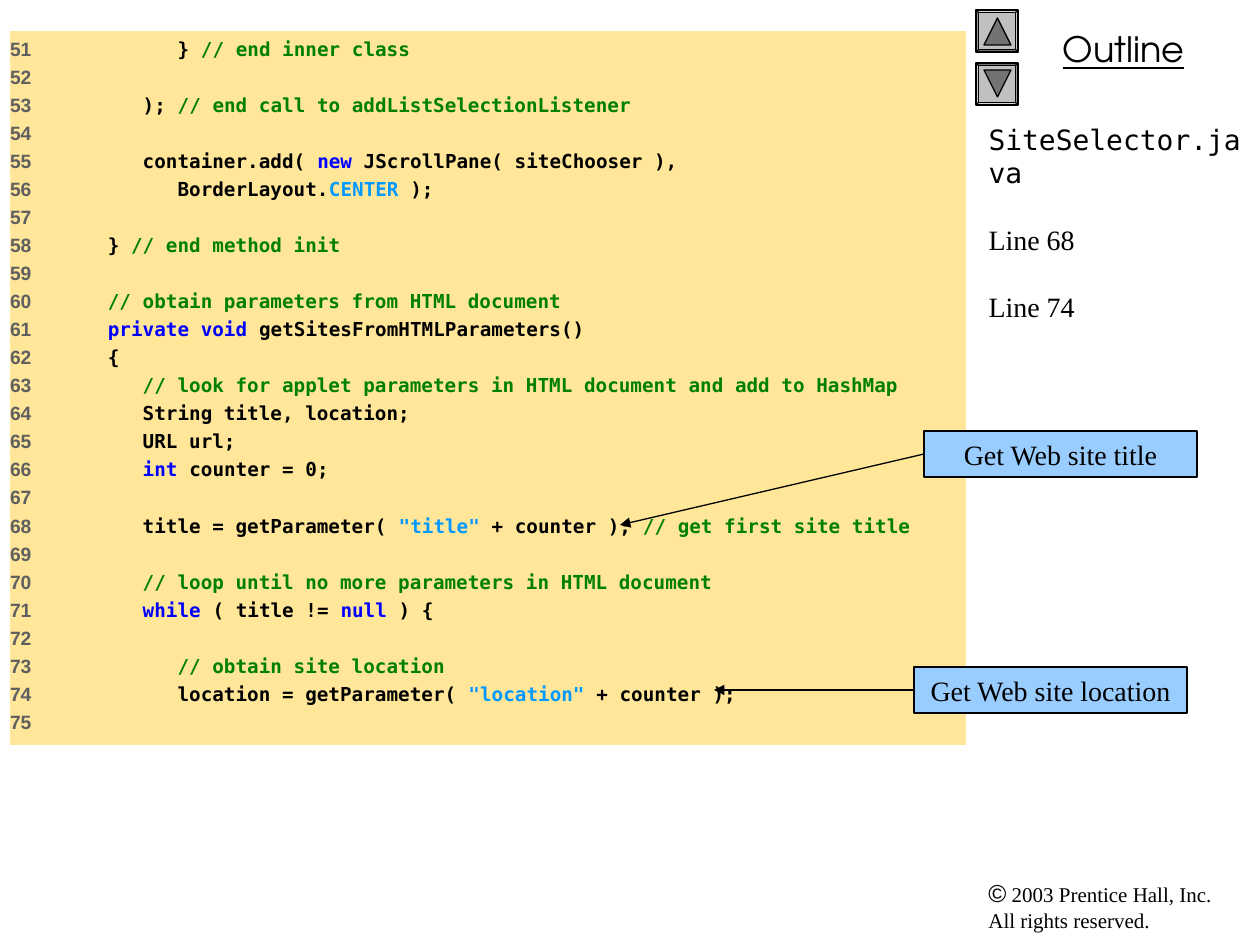
from dataclasses import dataclass
from functools import partial
from typing import NamedTuple

from lxml.etree import SubElement
from pptx import Presentation
from pptx.dml.color import RGBColor
from pptx.enum.shapes import MSO_CONNECTOR as Line, MSO_SHAPE as Shape
from pptx.enum.text import MSO_ANCHOR as Anchor, MSO_AUTO_SIZE as AutoSize, PP_ALIGN as Align
from pptx.oxml.ns import qn
from pptx.util import Emu, Pt

EMU_PER_PX = 914400 / 126
MONO, SERIF, SANS, TITLE = "DejaVu Sans Mono", "Times New Roman", "Arial", "TeX Gyre Adventor"
BLACK, GRAY, BUTTON, ARROW = "000000", "5F5F5F", "C0C0C0", "737373"
CODE_FILL, CALLOUT_FILL = "FFE699", "99CCFF"
FIRST_LINE, CODE_TAB = 51, 43


class Span(NamedTuple):
    """A stretch of code in one colour."""
    text: str
    color: str


plain = partial(Span, color=BLACK)
comment = partial(Span, color="008000")
keyword = partial(Span, color="0000FF")
literal = partial(Span, color="0099FF")

CODE = [
    [plain("         } "), comment("// end inner class")],
    [],
    [plain("      ); "), comment("// end call to addListSelectionListener")],
    [],
    [plain("      container.add( "), keyword("new"), plain(" JScrollPane( siteChooser ),")],
    [plain("         BorderLayout."), literal("CENTER"), plain(" );")],
    [],
    [plain("   } "), comment("// end method init")],
    [],
    [comment("   // obtain parameters from HTML document")],
    [keyword("   private void "), plain("getSitesFromHTMLParameters()")],
    [plain("   {")],
    [comment("      // look for applet parameters in HTML document and add to HashMap")],
    [plain("      String title, location;")],
    [plain("      URL url;")],
    [keyword("      int"), plain(" counter = 0;")],
    [],
    [plain("      title = getParameter( "), literal('"title"'), plain(" + counter ); "),
     comment("// get first site title")],
    [],
    [comment("      // loop until no more parameters in HTML document")],
    [keyword("      while"), plain(" ( title != "), keyword("null"), plain(" ) {")],
    [],
    [comment("         // obtain site location")],
    [plain("         location = getParameter( "), literal('"location"'), plain(" + counter );")],
    [],
]


@dataclass
class Callout:
    """A labelled box with an arrow to a point in the code."""
    text: str
    left: int
    top: int
    target: tuple[int, int]


@dataclass
class Button:
    """A bevelled navigation button with its arrow."""
    top: int
    bevel_turn: int
    arrow_turn: int
    arrow_top: int


CALLOUTS = [
    Callout("Get Web site title", 924, 431, (620, 525)),
    Callout("Get Web site location", 914, 667, (714, 690)),
]
BUTTONS = [Button(10, 90, 0, 18), Button(63, 270, 180, 70)]


def px(value: int) -> Emu:
    """Turn pixels into EMU."""
    return Emu(round(value * EMU_PER_PX))


def rgb(color: str) -> RGBColor:
    """Turn a hex string into a colour."""
    return RGBColor.from_string(color)


def place(shape, left: int, top: int, width: int, height: int) -> None:
    """Move and size a shape."""
    shape.left, shape.top, shape.width, shape.height = map(px, (left, top, width, height))


def add_span(para, text: str, *, font: str, size: int, color: str = BLACK,
             bold: bool = False, underline: bool = False) -> None:
    """Append formatted text to a paragraph."""
    span = para.add_run()
    span.text = text
    span.font.name, span.font.size = font, Pt(size)
    span.font.bold, span.font.underline = bold, underline
    span.font.color.rgb = rgb(color)


def next_para(frame, index: int, space: float):
    """Return the paragraph at index, spaced from the one above."""
    para = frame.add_paragraph() if index else frame.paragraphs[0]
    para.alignment = Align.LEFT
    para.space_before = Pt(space if index else 0)
    return para


def prepare_frame(shape):
    """Set wrapping and top anchoring, and return the text frame."""
    frame = shape.text_frame
    frame.word_wrap, frame.auto_size = True, AutoSize.NONE
    frame.vertical_anchor = Anchor.TOP
    return frame


def add_box(page, left: int, top: int, width: int, height: int):
    """Add a wrapping text box and return its first paragraph."""
    box = page.shapes.add_textbox(*map(px, (left, top, width, height)))
    return prepare_frame(box).paragraphs[0]


def add_solid(page, kind, bounds: tuple[int, int, int, int], fill: str, turn: int = 0):
    """Add a filled preset shape with a thin black outline."""
    shape = page.shapes.add_shape(kind, *map(px, bounds))
    shape.rotation = turn
    shape.shadow.inherit = False
    shape.fill.solid()
    shape.fill.fore_color.rgb = rgb(fill)
    shape.line.color.rgb, shape.line.width = rgb(BLACK), Pt(0.75)
    return shape


def fill_code(box) -> None:
    """Write the numbered listing."""
    place(box, 10, 31, 956, 714)
    box.fill.solid()
    box.fill.fore_color.rgb = rgb(CODE_FILL)
    frame = prepare_frame(box)
    frame.margin_left = 0
    for index, spans in enumerate(CODE):
        para = next_para(frame, index, 2.8)
        tabs = SubElement(para._p.get_or_add_pPr(), qn("a:tabLst"))
        SubElement(tabs, qn("a:tab"), pos=str(px(CODE_TAB)), algn="l")
        number = f"{FIRST_LINE + index}" + ("\t" if spans else "")
        add_span(para, number, font=SANS, size=11, color=GRAY, bold=True)
        for text, color in spans:
            add_span(para, text, font=MONO, size=11, color=color, bold=True)


def fill_outline(title) -> None:
    """Write the file name and the line references."""
    place(title, 976, 116, 284, 756)
    frame = prepare_frame(title)
    entries = [("SiteSelector.java", MONO), ("Line 68", SERIF), ("Line 74", SERIF)]
    for index, (text, font) in enumerate(entries):
        add_span(next_para(frame, index, 19), text, font=font, size=16)


def draw_button(page, button: Button) -> None:
    """Draw a navigation button."""
    bevel = add_solid(page, Shape.BEVEL, (976, button.top, 42, 42), BUTTON, button.bevel_turn)
    bevel.adjustments[0] = 0.06
    add_solid(page, Shape.ISOSCELES_TRIANGLE, (984, button.arrow_top, 27, 27), ARROW, button.arrow_turn)


def draw_callout(page, callout: Callout) -> None:
    """Draw a callout and its arrow."""
    box = add_solid(page, Shape.RECTANGLE, (callout.left, callout.top, 273, 46), CALLOUT_FILL)
    para = prepare_frame(box).paragraphs[0]
    para.alignment = Align.CENTER
    add_span(para, callout.text, font=SERIF, size=16)
    arrow = page.shapes.add_connector(Line.STRAIGHT, 0, 0, *map(px, callout.target))
    arrow.begin_connect(box, 1)
    arrow.line.color.rgb, arrow.line.width = rgb(BLACK), Pt(0.75)
    SubElement(arrow.line._get_or_add_ln(), qn("a:tailEnd"), type="triangle")
    SubElement(arrow._element.spPr, qn("a:effectLst"))


def main() -> None:
    """Build the slide."""
    deck = Presentation()
    deck.slide_width, deck.slide_height = px(1260), px(945)
    page = deck.slides.add_slide(deck.slide_layouts[0])
    fill_outline(page.shapes.title)
    fill_code(page.placeholders[1])
    heading = add_box(page, 987, 21, 273, 55)
    heading.alignment = Align.CENTER
    add_span(heading, "Outline", font=TITLE, size=20, underline=True)
    rights = add_box(page, 976, 872, 273, 68)
    add_span(rights, "©", font=SANS, size=14)
    add_span(rights, " 2003 Prentice Hall, Inc.", font=SERIF, size=12)
    rights.add_line_break()
    add_span(rights, "All rights reserved.", font=SERIF, size=12)
    for button in BUTTONS:
        draw_button(page, button)
    for callout in CALLOUTS:
        draw_callout(page, callout)
    deck.save("out.pptx")


if __name__ == "__main__":
    main()
